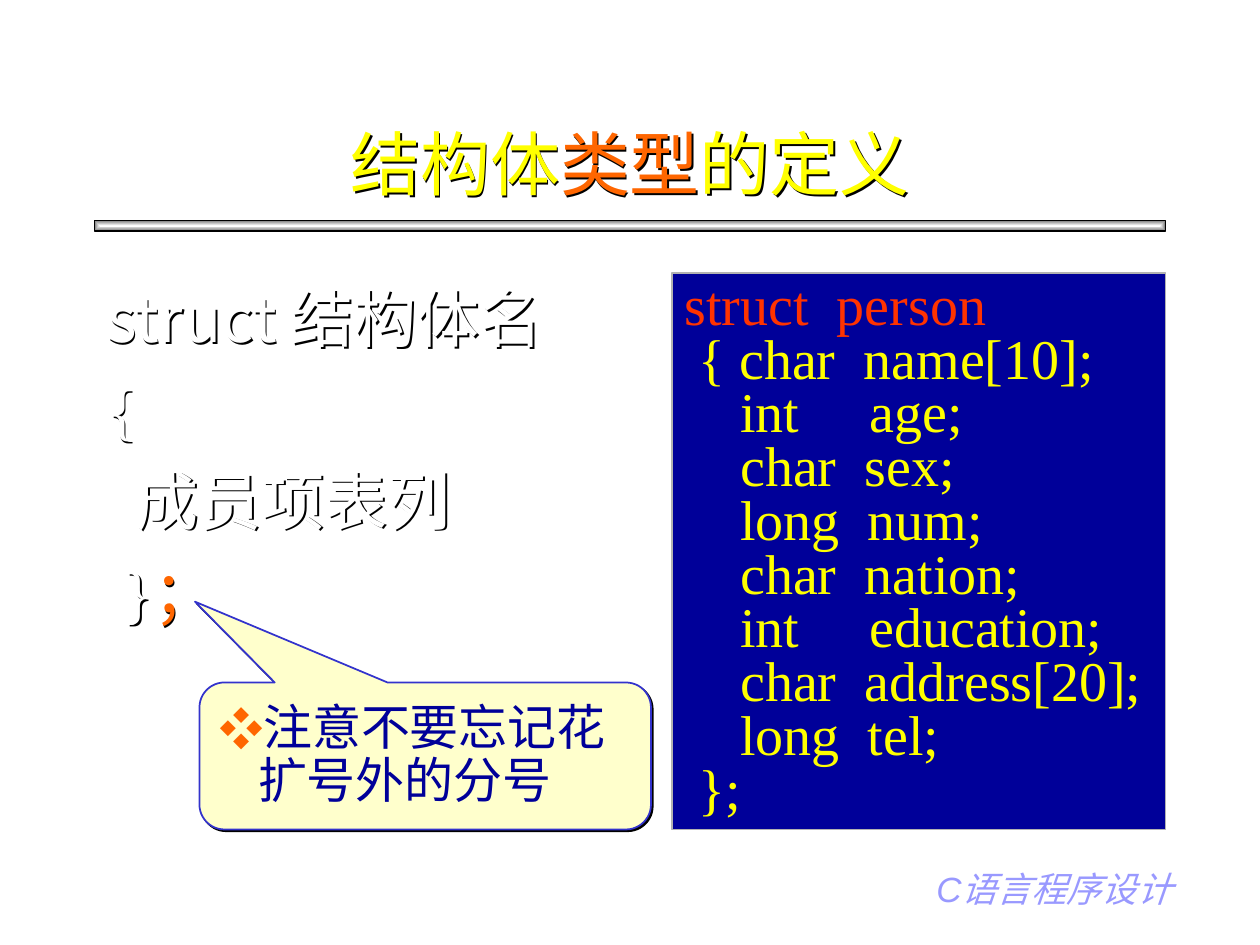
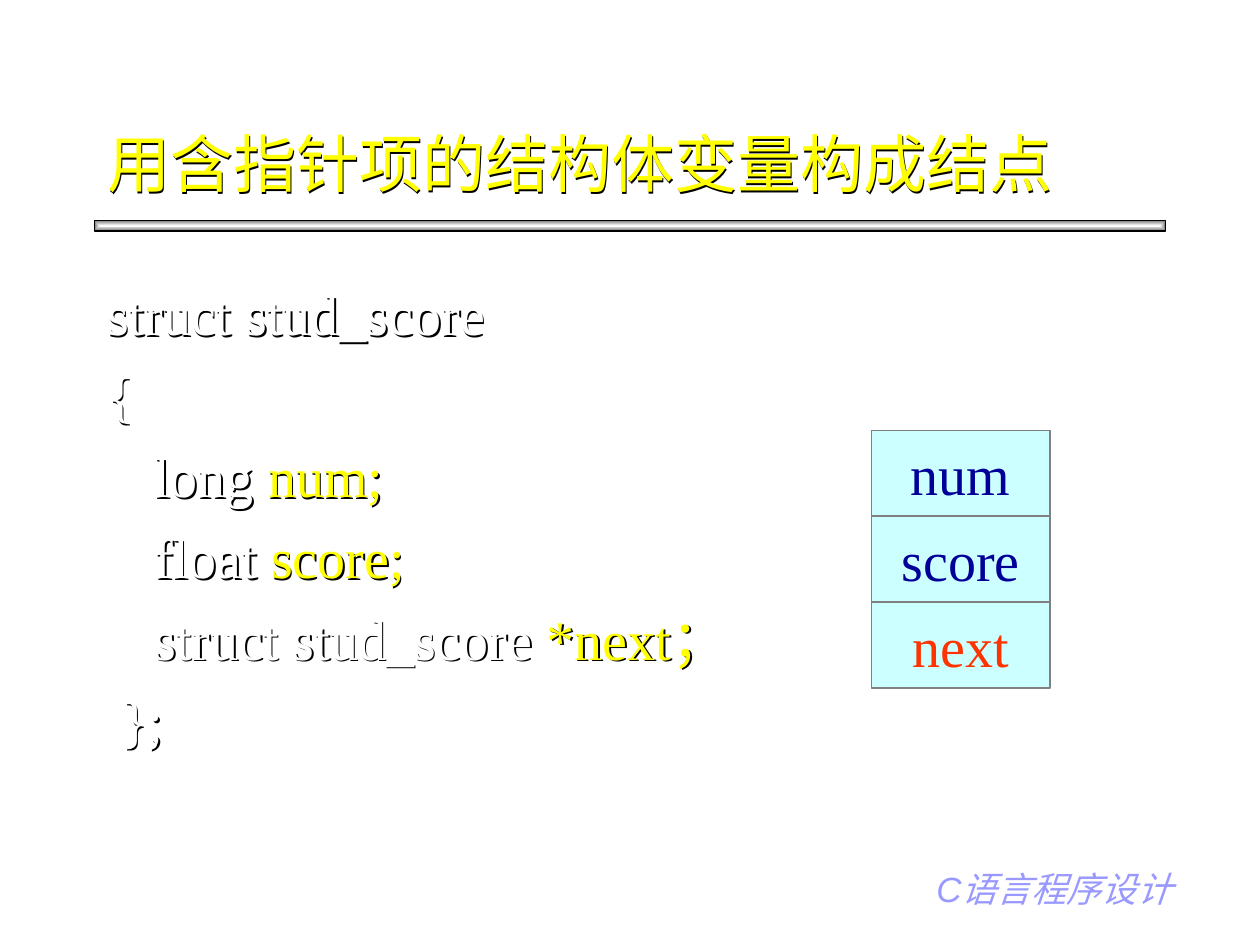
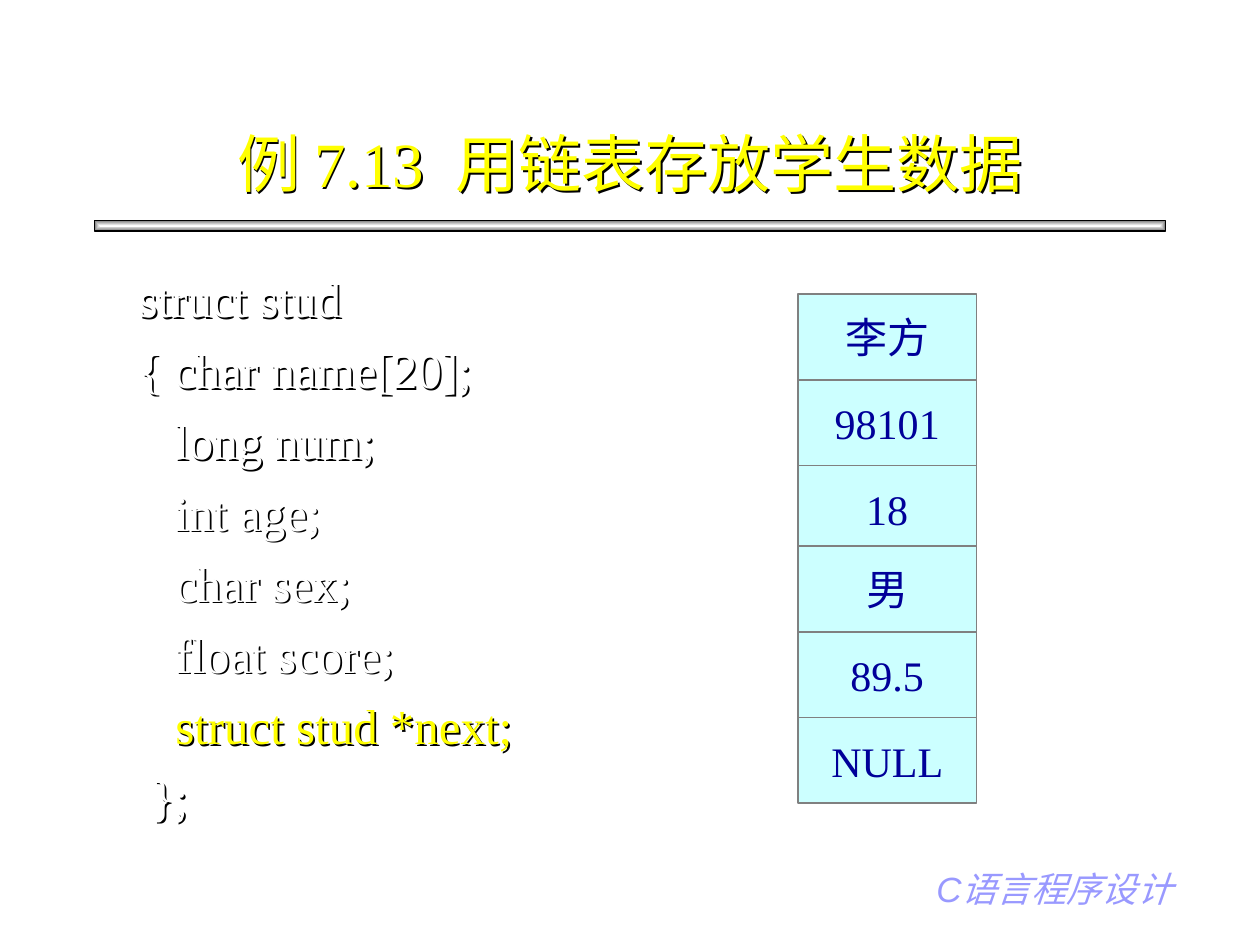
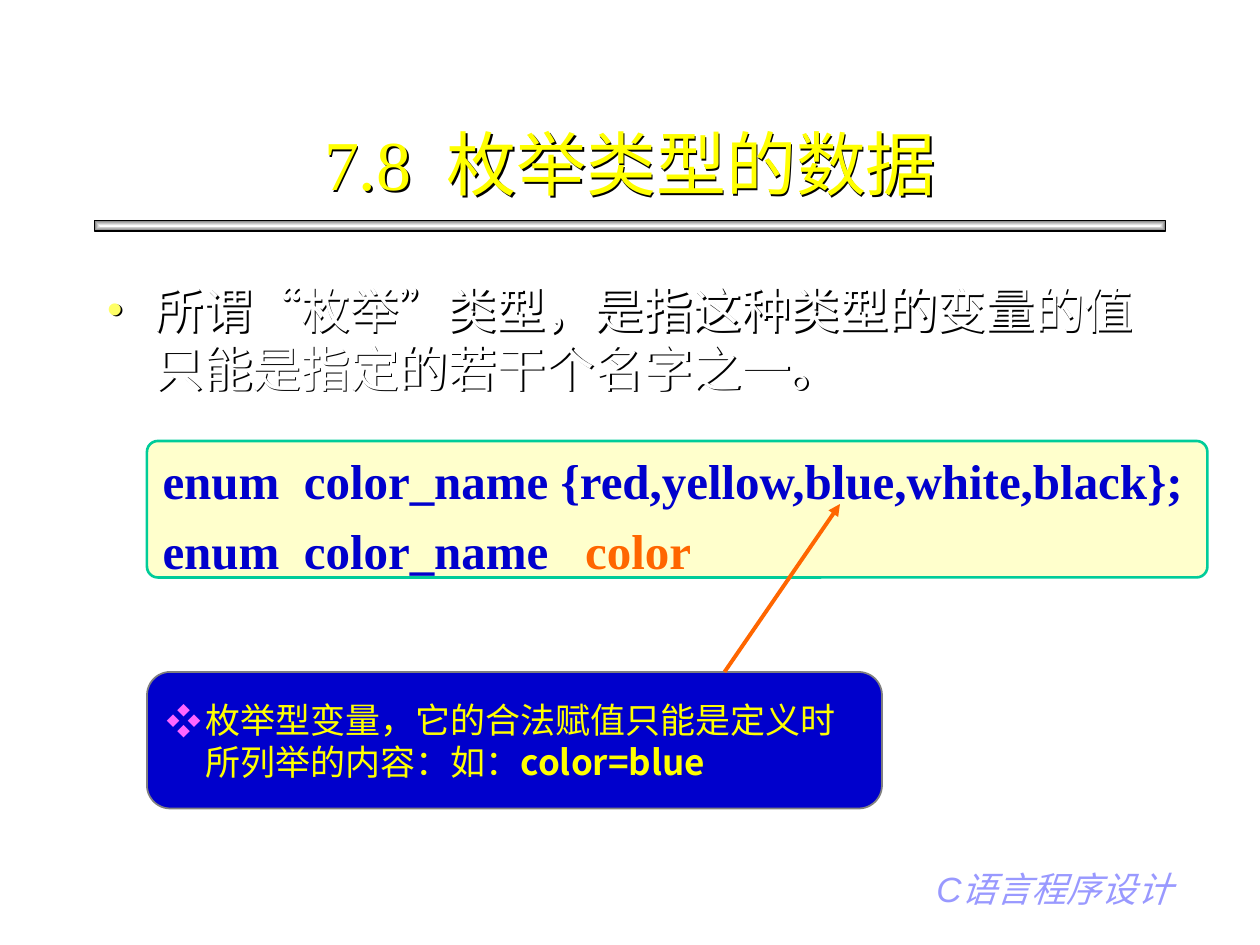
from lxml import etree
from pptx import Presentation
from pptx import util as u
from pptx.dml.color import RGBColor
from pptx.enum import shapes, text
from pptx.oxml.ns import qn

PX = 7620  # EMU in one px, 120 px to the inch

WHITE = RGBColor(0xFF, 0xFF, 0xFF)
BLACK = RGBColor(0x00, 0x00, 0x00)
STEEL = RGBColor(0x75, 0x75, 0x75)
GRAY = RGBColor(0x80, 0x80, 0x80)
SILVER = RGBColor(0xB2, 0xB2, 0xB2)
YELLOW = RGBColor(0xFF, 0xFF, 0x00)
LEMON = RGBColor(0xFF, 0xFF, 0x66)
CREAM = RGBColor(0xFF, 0xFF, 0xCC)
ORANGE = RGBColor(0xFF, 0x66, 0x00)
RED = RGBColor(0xFF, 0x33, 0x00)
PINK = RGBColor(0xFF, 0x66, 0xFF)
NAVY = RGBColor(0x00, 0x00, 0x99)
BLUE = RGBColor(0x00, 0x00, 0xCC)
INDIGO = RGBColor(0x33, 0x33, 0xCC)
LILAC = RGBColor(0x99, 0x99, 0xFF)
CYAN = RGBColor(0xCC, 0xFF, 0xFF)
GREEN = RGBColor(0x00, 0xCC, 0x99)

SERIF, SANS, LATIN = "Times New Roman", "Noto Sans CJK SC", "Arial"
LEFT, CENTER = text.PP_ALIGN.LEFT, text.PP_ALIGN.CENTER
MIDDLE = text.MSO_ANCHOR.MIDDLE
SHAPE = shapes.MSO_SHAPE


def write(box, rows, size, color, font=SERIF, align=LEFT, before=0, line=None,
          hang=0, bullet=None, bullet_color=None, bullet_size=100,
          bullet_font=LATIN, italic=False, wrap=True):
    """Fill a box; a row is a text or a list of (text, changes) spans."""
    frame = box.text_frame
    frame.word_wrap = wrap
    frame.auto_size = text.MSO_AUTO_SIZE.NONE
    for number, row in enumerate(rows):
        para = frame.add_paragraph() if number else frame.paragraphs[0]
        props = para._p.get_or_add_pPr()
        props.set("marL", str(hang * PX))
        props.set("indent", str(-hang * PX))
        if bullet:
            tint = etree.SubElement(props, qn("a:buClr"))
            etree.SubElement(tint, qn("a:srgbClr"), val=str(bullet_color))
            etree.SubElement(props, qn("a:buSzPct"), val=str(bullet_size * 1000))
            etree.SubElement(props, qn("a:buFont"), typeface=bullet_font)
            etree.SubElement(props, qn("a:buChar"), char=bullet)
        else:
            etree.SubElement(props, qn("a:buNone"))
        para.alignment = align
        para.space_before = u.Pt(before if number else 0)
        if line:
            para.line_spacing = line
        for words, changes in [(row, {})] if isinstance(row, str) else row:
            span = para.add_run()
            span.text = words
            span.font.size = u.Pt(size)
            span.font.bold = changes.get("bold", False)
            span.font.italic = italic
            span.font.color.rgb = changes.get("color", color)
            span.font.name = changes.get("font", font)
            etree.SubElement(span._r.rPr, qn("a:ea"), typeface=SANS)


def draw(parent, kind, place, fill, outline, weight, adjust=()):
    """Add a flat preset shape at (left, top, width, height)."""
    shape = parent.add_shape(kind, *[round(n * PX) for n in place])
    shape.shadow.inherit = False
    if fill is not None:
        shape.fill.solid()
        shape.fill.fore_color.rgb = fill
    shape.line.color.rgb = outline
    shape.line.width = u.Pt(weight)
    for number, value in enumerate(adjust):
        shape.adjustments[number] = value
    shape.text_frame.vertical_anchor = MIDDLE
    return shape


deck = Presentation()
deck.slide_width, deck.slide_height = 1200 * PX, 900 * PX

# Titles and body lists
ACCENT = {"color": YELLOW}
outline = [
    dict(title=[("结构体", {}), ("类型", {"color": ORANGE}), ("的定义", {})],
         title_size=40, align=CENTER, place=(90, 260, 500, 540),
         rows=["struct 结构体名", [("{", {"font": SERIF})], "  成员项表列",
               [(" }", {"font": SERIF}), ("；", {"color": ORANGE})]],
         style=dict(size=36, before=9, font=SANS)),
    dict(title="用含指针项的结构体变量构成结点",
         title_size=36, align=LEFT, place=(90, 260, 630, 540),
         rows=["struct stud_score", "{",
               [(" \tlong ", {}), ("num;", ACCENT)],
               [(" \tfloat ", {}), ("score;", ACCENT)],
               [(" \tstruct stud_score ", {}), ("*next；", ACCENT)], " };"],
         style=dict(size=32, before=8)),
    dict(title="例 7.13  用链表存放学生数据",
         title_size=36, align=CENTER, place=(120, 250, 590, 560),
         rows=["struct stud", "{ char name[20];", "   long num;", "   int age;",
               "   char sex;", "   float score;",
               [("   ", {}), ("struct stud *next;", ACCENT)], " };"],
         style=dict(size=28, before=7)),
    dict(title="7.8  枚举类型的数据",
         title_size=40, align=CENTER, place=(90, 260, 1020, 540),
         rows=["所谓“枚举”类型，是指这种类型的变量的值只能是指定的若干个名字之一。"],
         style=dict(size=28, bullet="•", bullet_color=LEMON, bullet_size=90)),
]
pages, shaded = [], []
for entry in outline:
    page = deck.slides.add_slide(deck.slide_layouts[1])
    pages.append(page)
    title, body = page.placeholders
    for holder, place in ((title, (90, 80, 1020, 150)), (body, entry["place"])):
        holder.left, holder.top, holder.width, holder.height = [n * PX for n in place]
        holder.fill.background()
        shaded.append(holder)
    title.text_frame.vertical_anchor = MIDDLE
    write(title, [entry["title"]], entry["title_size"], YELLOW, align=entry["align"])
    write(body, entry["rows"], color=WHITE, hang=45, **entry["style"])

# Band and footer, moved to the master so that every page shows them
band = draw(pages[0].shapes, SHAPE.RECTANGLE, (90, 210, 1020, 10), None, BLACK, 0.75)
band.fill.gradient()
for stop, color in zip(band.fill.gradient_stops, (WHITE, STEEL)):
    stop.color.rgb = color
gradient = band.element.spPr.find(qn("a:gradFill"))
gradient.remove(gradient.find(qn("a:lin")))
spread = etree.SubElement(gradient, qn("a:path"), {"path": "rect"})
etree.SubElement(spread, qn("a:fillToRect"), dict.fromkeys("ltrb", "50000"))
footer = pages[0].shapes.add_textbox(880 * PX, 820 * PX, 260 * PX, 53 * PX)
write(footer, [[("C", {"font": LATIN}), ("语言程序设计", {})]], 20, LILAC,
      font=SANS, italic=True)
for shared in (band, footer):
    deck.slide_master.shapes.element.append(shared.element)

# Page 1: sample structure and reminder
sample = draw(pages[0].shapes, SHAPE.RECTANGLE, (640, 260, 470, 530),
              NAVY, SILVER, 0.75)
write(sample, [[("struct  person", {"color": RED})], " { char  name[10];",
               "    int     age;", "    char  sex;", "    long  num;",
               "    char  nation;", "    int     education;",
               "    char  address[20];", "    long  tel;", " };"],
      32, YELLOW, line=0.8, wrap=False)

DIAMOND = dict(font=SANS, hang=37, bullet="❖", bullet_font=SANS)
reminder = draw(pages[0].shapes, SHAPE.ROUNDED_RECTANGULAR_CALLOUT,
                (190, 650, 430, 140), CREAM, INDIGO, 1, (-0.51, -1.05, 0.17))
shaded.append(reminder)
write(reminder, ["注意不要忘记花扩号外的分号"], 28, NAVY, line=0.9,
      bullet_color=ORANGE, bullet_size=90, **DIAMOND)

# Pages 2 and 3: list nodes as stacked cells
CELL_WIDTH, CELL_HEIGHT = 170, 245 / 3
for page, left, top, size, labels in (
        (pages[1], 830, 410, 32, ("num", "score", "next")),
        (pages[2], 760, 280, 24, ("李方", "98101", "18")),
        (pages[2], 760, 520, 24, ("男", "89.5", "NULL"))):
    node = page.shapes.add_group_shape()
    for number, label in enumerate(labels):
        cell = draw(node.shapes, SHAPE.RECTANGLE,
                    (left, top + number * CELL_HEIGHT, CELL_WIDTH, CELL_HEIGHT),
                    CYAN, GRAY, 1)
        write(cell, [label], size, RED if label == "next" else NAVY,
              align=CENTER, wrap=False)

# Page 4: declaration, rule and arrow
BOLD = {"bold": True}
declaration = draw(pages[3].shapes, SHAPE.ROUNDED_RECTANGLE,
                   (140, 420, 1010, 130), CREAM, GREEN, 1.5, (0.08,))
write(declaration, [[("enum  color_name {red,yellow,blue,white,black};", BOLD)],
                    [("enum  color_name   ", BOLD),
                     ("color", {"bold": True, "color": ORANGE})]],
      28, BLUE, line=1.2, wrap=False)

rule = draw(pages[3].shapes, SHAPE.ROUNDED_RECTANGLE, (140, 640, 700, 130),
            BLUE, GRAY, 1, (0.17,))
write(rule, [[("枚举型变量，它的合法赋值只能是定义时所列举的内容：如：", {}),
              ("color=blue", BOLD)]],
      20, YELLOW, bullet_color=PINK, **DIAMOND)

arrow = pages[3].shapes.add_connector(shapes.MSO_CONNECTOR.STRAIGHT,
                                      690 * PX, 640 * PX, 800 * PX, 480 * PX)
arrow.line.color.rgb = ORANGE
arrow.line.width = u.Pt(2.25)
etree.SubElement(arrow.element.spPr.find(qn("a:ln")), qn("a:tailEnd"), type="triangle")
etree.SubElement(arrow.element.spPr, qn("a:effectLst"))

# Black drop shadow, which unfilled placeholders pass on to their text
for box in shaded:
    box.shadow.inherit = False
    drop = etree.SubElement(box.element.spPr.find(qn("a:effectLst")), qn("a:outerShdw"),
                            dist="17961", dir="2700000", algn="ctr", rotWithShape="0")
    etree.SubElement(drop, qn("a:srgbClr"), val=str(BLACK))

deck.save("out.pptx")
